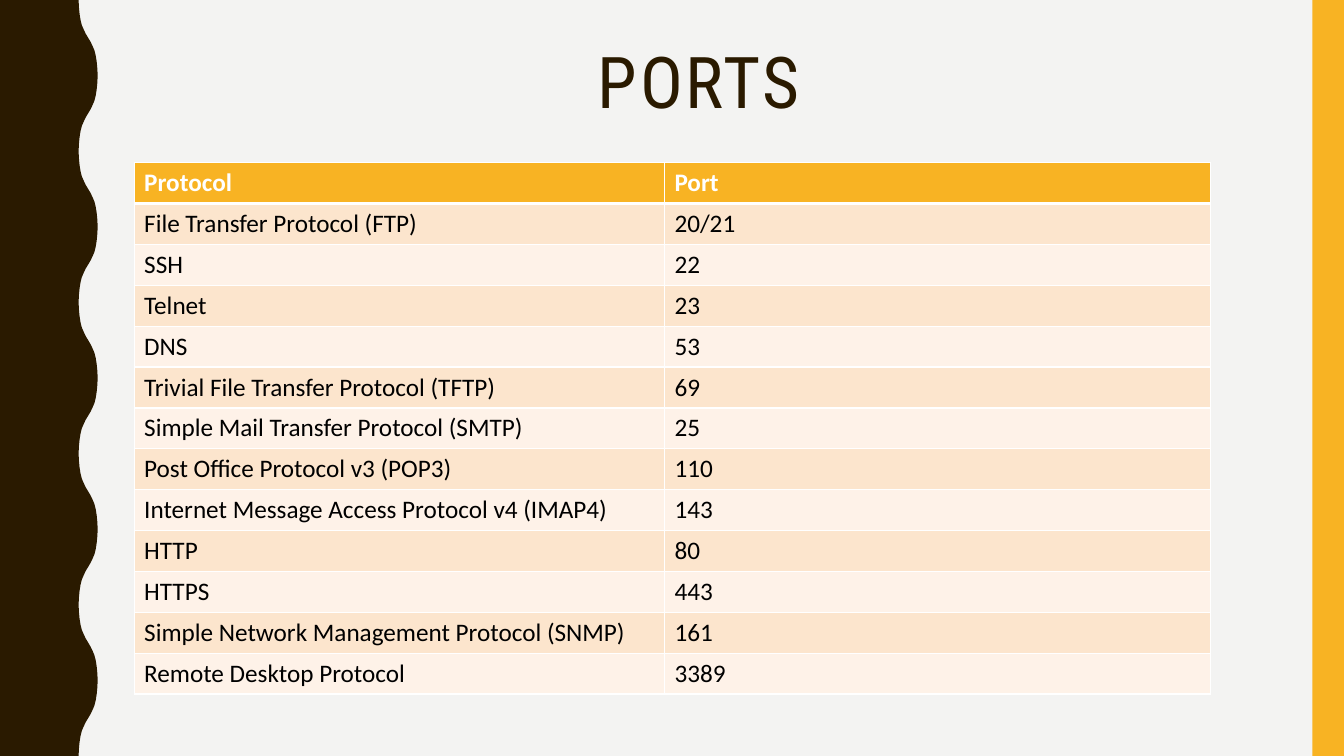
from lxml.etree import SubElement
from pptx import Presentation
from pptx.dml.color import RGBColor
from pptx.enum.shapes import MSO_SHAPE as Shape
from pptx.enum.text import MSO_ANCHOR as Anchor, MSO_AUTO_SIZE as AutoSize, PP_ALIGN as Align
from pptx.oxml.ns import qn
from pptx.util import Pt

WIDTH, HEIGHT = 960, 540
BROWN, AMBER, WHITE, BLACK = "2A1A00", "F8B323", "FFFFFF", "000000"
BACKGROUND = "F3F3F2"
BANDS = ("FCE5CD", "FEF2E8")

# One half wave of the left edge, from trough to crest
HALF_WAVE = [
    (56.2, 0), (56.4, 5), (56.9, 10), (57.6, 14.4), (58.5, 18),
    (59.8, 21), (61.2, 24), (63, 27), (64.8, 30), (66.2, 33),
    (67.5, 36), (68.4, 39.6), (69.1, 44), (69.6, 49), (69.8, 54),
]
HALF_HEIGHT = 54
MIRROR_SUM = 126

PORTS = [
    ("Protocol", "Port"),
    ("File Transfer Protocol (FTP)", "20/21"),
    ("SSH", "22"),
    ("Telnet", "23"),
    ("DNS", "53"),
    ("Trivial File Transfer Protocol (TFTP)", "69"),
    ("Simple Mail Transfer Protocol (SMTP)", "25"),
    ("Post Office Protocol v3 (POP3)", "110"),
    ("Internet Message Access Protocol v4 (IMAP4)", "143"),
    ("HTTP", "80"),
    ("HTTPS", "443"),
    ("Simple Network Management Protocol (SNMP)", "161"),
    ("Remote Desktop Protocol", "3389"),
]
COLUMN_WIDTHS = (378.8, 390.1)
ROW_HEIGHT = 29.2


def paint(fill, color):
    fill.solid()
    fill.fore_color.rgb = RGBColor.from_string(color)


def finish_shape(shape, color):
    paint(shape.fill, color)
    shape.line.fill.background()
    shape.shadow.inherit = False


def add_span(para, text, font, size, color, bold=False):
    span = para.add_run()
    span.text = text
    span.font.name = font
    span.font.size = Pt(size)
    span.font.bold = bold
    span.font.color.rgb = RGBColor.from_string(color)
    return span


def add_wave(page):
    edge = []
    for half in range(HEIGHT // HALF_HEIGHT):
        for x, y in HALF_WAVE:
            wave_x = MIRROR_SUM - x if half % 2 else x
            edge.append((Pt(wave_x), Pt(half * HALF_HEIGHT + y)))
    builder = page.shapes.build_freeform(0, 0)
    builder.add_line_segments(edge + [(0, Pt(HEIGHT))], close=True)
    finish_shape(builder.convert_to_shape(), BROWN)


def add_side_bar(page):
    left = 937.5
    bar = page.shapes.add_shape(
        Shape.RECTANGLE, Pt(left), 0, Pt(WIDTH - left), Pt(HEIGHT))
    finish_shape(bar, AMBER)


def fill_title(page, text):
    title = page.shapes.title
    title.left, title.top = Pt(98.6), Pt(30.2)
    title.width, title.height = Pt(801.4), Pt(117.4)
    frame = title.text_frame
    frame.auto_size = AutoSize.NONE
    frame.word_wrap = True
    frame.vertical_anchor = Anchor.TOP
    para = frame.paragraphs[0]
    para.alignment = Align.CENTER
    para.line_spacing = 0.9
    span = add_span(para, text, "Roboto Condensed", 51, BROWN)
    span.font._element.set("spc", "200")


def set_borders(cell, top, bottom):
    properties = cell._tc.get_or_add_tcPr()
    for side, width in (("L", 1), ("R", 1), ("T", top), ("B", bottom)):
        line = SubElement(properties, qn(f"a:ln{side}"), w=str(Pt(width)))
        solid = SubElement(line, qn("a:solidFill"))
        SubElement(solid, qn("a:srgbClr"), val=WHITE)


def add_port_table(page):
    frame = page.shapes.add_table(
        len(PORTS), len(COLUMN_WIDTHS), Pt(95.8), Pt(116.2),
        Pt(sum(COLUMN_WIDTHS)), Pt(ROW_HEIGHT * len(PORTS)))
    table = frame.table
    for column, width in zip(table.columns, COLUMN_WIDTHS):
        column.width = Pt(width)
    for index, entries in enumerate(PORTS):
        table.rows[index].height = Pt(ROW_HEIGHT)
        header = index == 0
        for column, text in enumerate(entries):
            cell = table.cell(index, column)
            # A thick rule separates the header from the first row
            set_borders(cell, 3 if index == 1 else 1, 3 if header else 1)
            paint(cell.fill, AMBER if header else BANDS[(index - 1) % 2])
            add_span(cell.text_frame.paragraphs[0], text, "Calibri", 18,
                     WHITE if header else BLACK, header)


def main():
    deck = Presentation()
    deck.slide_width, deck.slide_height = Pt(WIDTH), Pt(HEIGHT)
    page = deck.slides.add_slide(deck.slide_layouts[5])
    paint(page.background.fill, BACKGROUND)

    # Side decoration
    add_wave(page)
    add_side_bar(page)

    # Content
    fill_title(page, "PORTS")
    add_port_table(page)
    deck.save("out.pptx")


if __name__ == "__main__":
    main()
